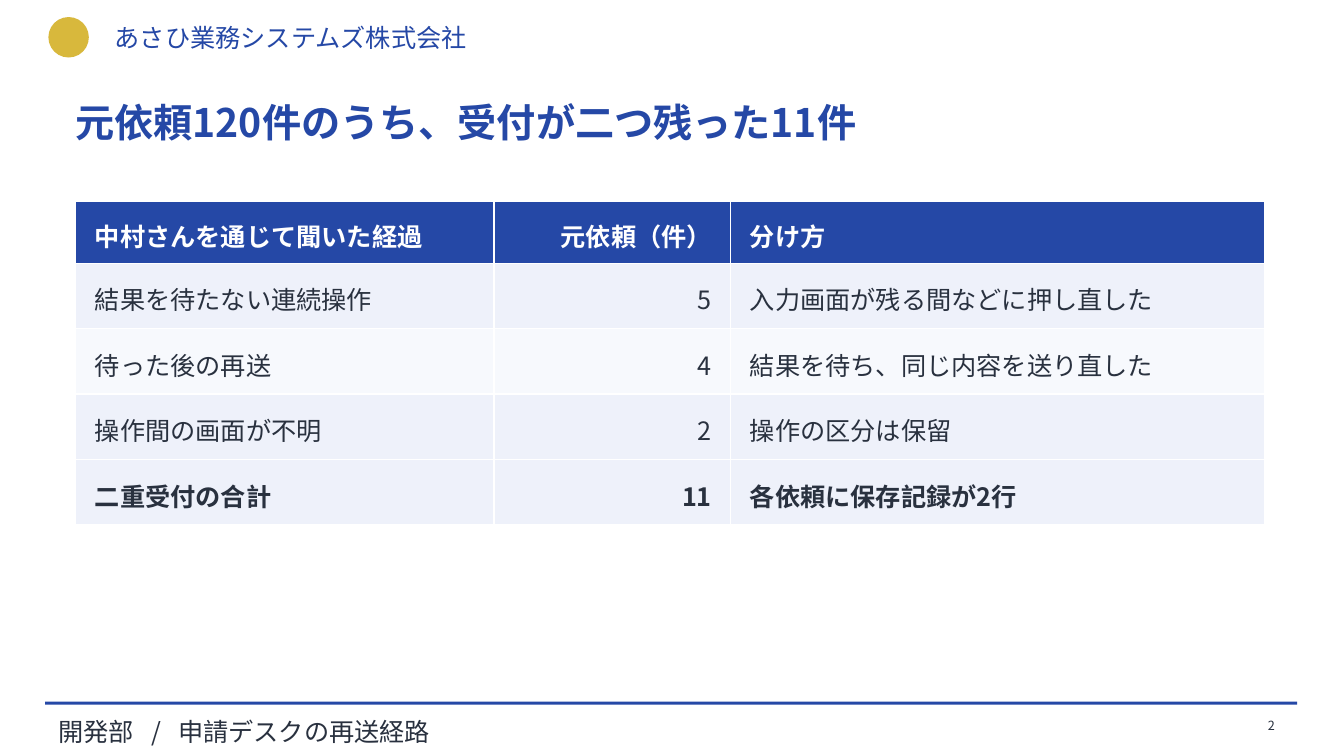
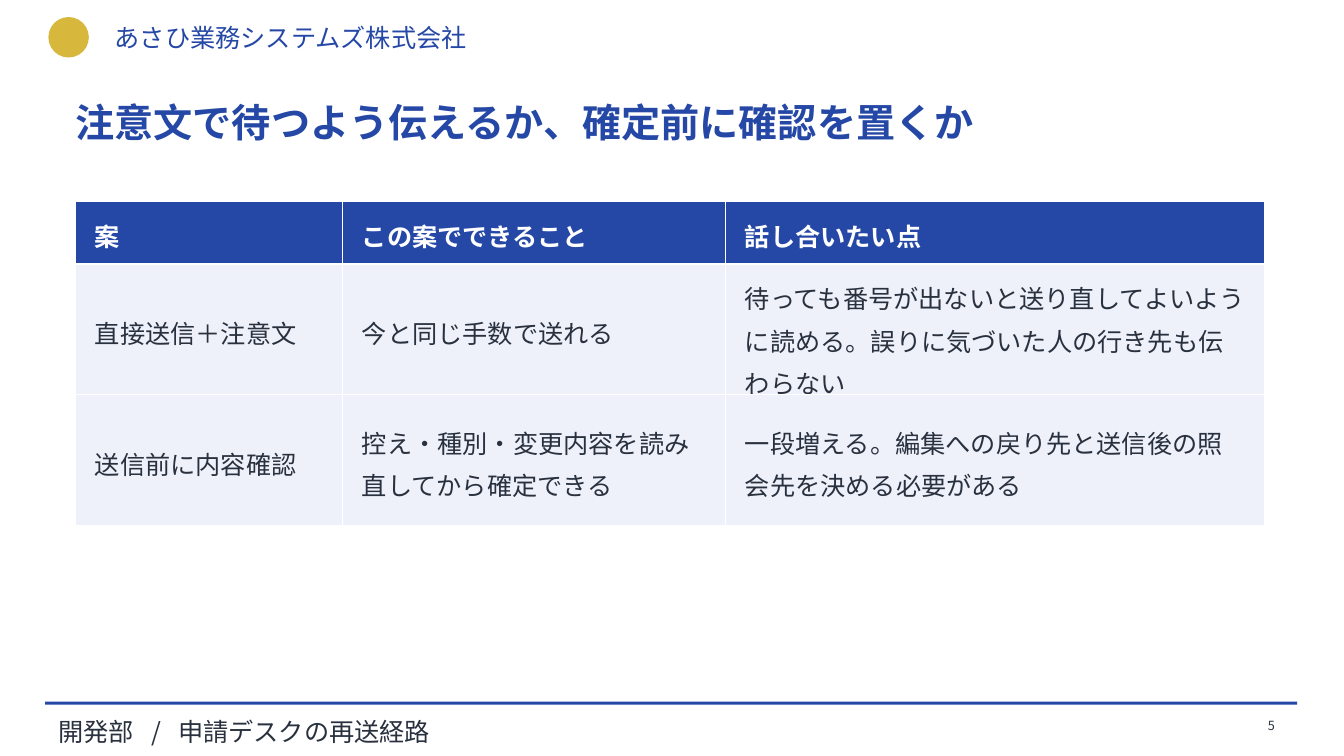
from lxml import etree
from pptx import Presentation
from pptx.dml.color import RGBColor
from pptx.enum.shapes import MSO_SHAPE
from pptx.enum.text import MSO_ANCHOR, PP_ALIGN
from pptx.oxml.ns import qn
from pptx.util import Cm, Pt

BLUE = RGBColor(0x25, 0x48, 0xA6)
GOLD = RGBColor(0xD8, 0xB8, 0x3C)
INK = RGBColor(0x29, 0x31, 0x3F)
WHITE = RGBColor(0xFF, 0xFF, 0xFF)
TINT = RGBColor(0xEE, 0xF1, 0xFA)
PALE = RGBColor(0xF7, 0xF9, 0xFD)

LEFT, RIGHT = PP_ALIGN.LEFT, PP_ALIGN.RIGHT
TOP, MIDDLE = MSO_ANCHOR.TOP, MSO_ANCHOR.MIDDLE
RECTANGLE, OVAL = MSO_SHAPE.RECTANGLE, MSO_SHAPE.OVAL

FONT = "Noto Sans CJK JP"
COMPANY = "あさひ業務システムズ株式会社"
FOOTER = "開発部\t/\t申請デスクの再送経路"
FOOTER_TABS = (2.36, 3.02)


def write_text(frame, text, size=18, color=INK, bold=False, align=LEFT,
               line_spacing=None, tabs=()):
    paragraph = frame.paragraphs[0]
    if tabs:
        properties = paragraph._p.get_or_add_pPr()
        tab_list = etree.SubElement(properties, qn("a:tabLst"))
        for position in tabs:
            etree.SubElement(tab_list, qn("a:tab"), pos=str(Cm(position)), algn="l")
    paragraph.alignment = align
    if line_spacing:
        paragraph.line_spacing = line_spacing
    run = paragraph.add_run()
    run.text = text
    run.font.size = Pt(size)
    run.font.bold = bold
    run.font.color.rgb = color
    run.font.name = FONT
    etree.SubElement(run._r.get_or_add_rPr(), qn("a:ea"), typeface=FONT)


def set_borders(cell, color, width):
    properties = cell._tc.get_or_add_tcPr()
    for index, side in enumerate(("lnL", "lnR", "lnT", "lnB")):
        line = etree.Element(qn(f"a:{side}"), w=str(Pt(width)))
        fill = etree.SubElement(line, qn("a:solidFill"))
        etree.SubElement(fill, qn("a:srgbClr"), val=str(color))
        properties.insert(index, line)


class Deck:
    line_spacing = 1.16

    def __init__(self):
        self.presentation = Presentation()
        self.presentation.slide_width = Cm(33.87)
        self.presentation.slide_height = Cm(19.05)
        self.slide = None

    def add_slide(self, title, number):
        self.slide = self.presentation.slides.add_slide(self.presentation.slide_layouts[6])
        self.add_shape(OVAL, 1.22, 0.43, 1.02, 1.02, GOLD)
        self.add_text(COMPANY, 2.64, 0.43, 17.78, 0.86, color=BLUE)
        self.add_shape(RECTANGLE, 1.14, 17.68, 31.55, 0.08, BLUE)
        self.add_text(FOOTER, 1.22, 17.91, 25.4, 0.66, tabs=FOOTER_TABS)
        self.add_text(title, 1.65, 2.16, 30.48, 2.54, size=28, color=BLUE, bold=True,
                      line_spacing=self.line_spacing)
        self.add_text(str(number), 30.61, 17.86, 1.52, 0.76, margins=(0, 0.1),
                      anchor=MIDDLE, size=9, align=RIGHT, line_spacing=self.line_spacing)

    def add_shape(self, kind, left, top, width, height, color):
        shape = self.slide.shapes.add_shape(kind, Cm(left), Cm(top), Cm(width), Cm(height))
        shape.shadow.inherit = False
        shape.fill.solid()
        shape.fill.fore_color.rgb = color
        shape.line.fill.background()

    def add_text(self, text, left, top, width, height, margins=(0.25, 0.13),
                 anchor=TOP, **text_format):
        box = self.slide.shapes.add_textbox(Cm(left), Cm(top), Cm(width), Cm(height))
        frame = box.text_frame
        frame.word_wrap = True
        frame.vertical_anchor = anchor
        frame.margin_left = frame.margin_right = Cm(margins[0])
        frame.margin_top = frame.margin_bottom = Cm(margins[1])
        write_text(frame, text, **text_format)

    def add_table(self, rows, widths, header_height, row_height,
                  number_column=None, has_total=False):
        heights = [header_height] + [row_height] * (len(rows) - 1)
        table = self.slide.shapes.add_table(
            len(rows), len(widths), Cm(1.91), Cm(5.08),
            Cm(sum(widths)), Cm(sum(heights))).table
        table.horz_banding = False
        for column, width in zip(table.columns, widths):
            column.width = Cm(width)
        last = len(rows) - 1
        for row_index, texts in enumerate(rows):
            table.rows[row_index].height = Cm(heights[row_index])
            is_header = row_index == 0
            is_pale = row_index % 2 == 0 and row_index != last
            background = BLUE if is_header else PALE if is_pale else TINT
            for column_index, text in enumerate(texts):
                self.fill_cell(
                    table.cell(row_index, column_index), text, background,
                    color=WHITE if is_header else INK,
                    bold=is_header or (has_total and row_index == last),
                    align=RIGHT if column_index == number_column else LEFT)

    def fill_cell(self, cell, text, background, **text_format):
        cell.fill.solid()
        cell.fill.fore_color.rgb = background
        cell.vertical_anchor = MIDDLE
        cell.margin_left = cell.margin_right = Cm(0.48)
        cell.margin_top = cell.margin_bottom = Cm(0.25)
        set_borders(cell, WHITE, 1)
        write_text(cell.text_frame, text, line_spacing=self.line_spacing, **text_format)


def main():
    deck = Deck()

    deck.add_slide("元依頼120件のうち、受付が二つ残った11件", 2)
    deck.add_table([
        ("中村さんを通じて聞いた経過", "元依頼（件）", "分け方"),
        ("結果を待たない連続操作", "5", "入力画面が残る間などに押し直した"),
        ("待った後の再送", "4", "結果を待ち、同じ内容を送り直した"),
        ("操作間の画面が不明", "2", "操作の区分は保留"),
        ("二重受付の合計", "11", "各依頼に保存記録が2行"),
    ], (10.54, 5.97, 13.46), 1.55, 1.65, number_column=1, has_total=True)

    deck.add_slide("注意文で待つよう伝えるか、確定前に確認を置くか", 5)
    deck.add_table([
        ("案", "この案でできること", "話し合いたい点"),
        ("直接送信＋注意文", "今と同じ手数で送れる",
         "待っても番号が出ないと送り直してよいように読める。"
         "誤りに気づいた人の行き先も伝わらない"),
        ("送信前に内容確認", "控え・種別・変更内容を読み直してから確定できる",
         "一段増える。編集への戻り先と送信後の照会先を決める必要がある"),
    ], (6.73, 9.65, 13.59), 1.57, 3.3)

    deck.presentation.save("out.pptx")


if __name__ == "__main__":
    main()
